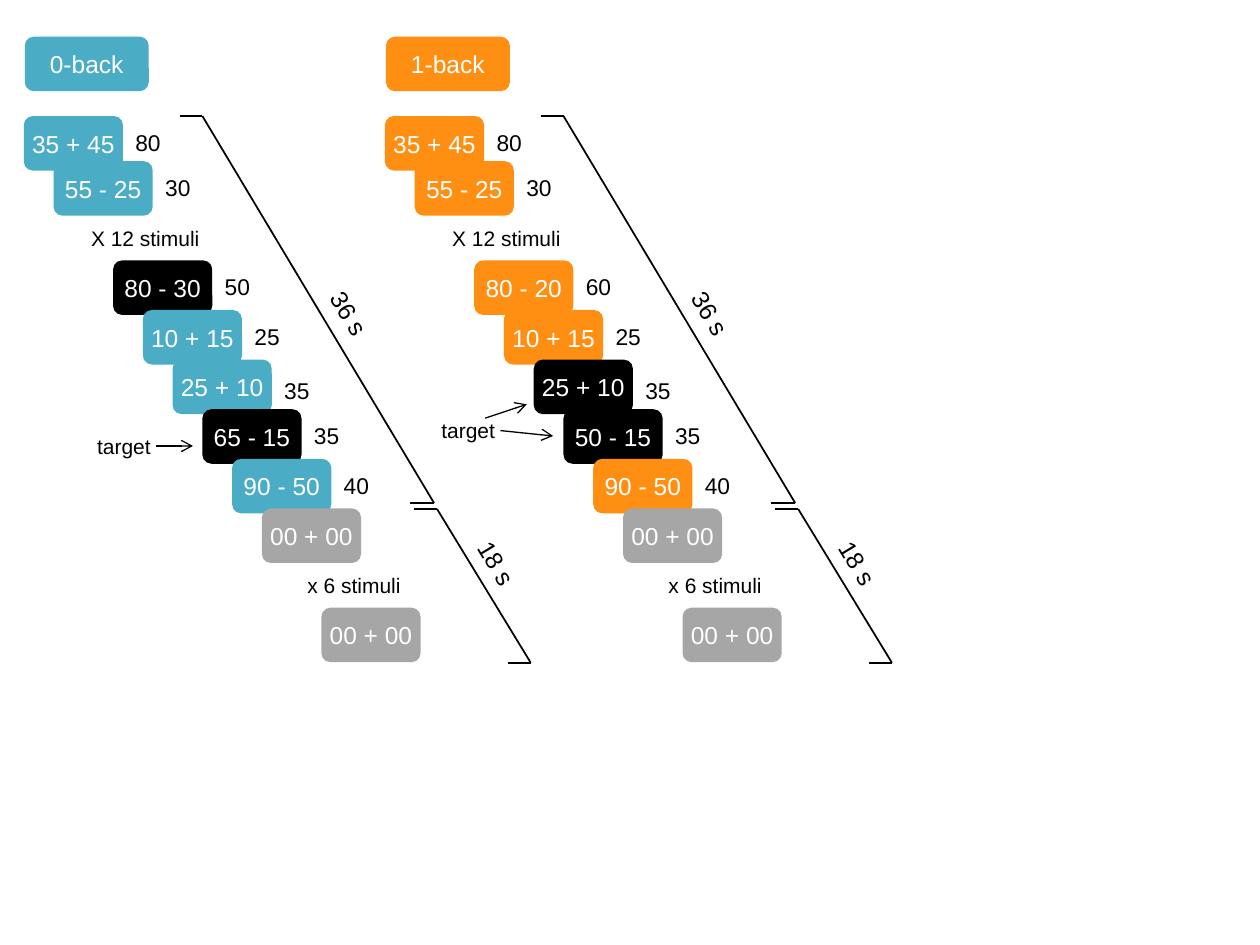
"""Draw the 0-back and 1-back task timelines side by side."""
from dataclasses import dataclass
from lxml.etree import SubElement
from pptx import Presentation
from pptx.dml.color import RGBColor
from pptx.enum.shapes import MSO_CONNECTOR, MSO_SHAPE
from pptx.enum.text import MSO_ANCHOR, MSO_AUTO_SIZE, PP_ALIGN
from pptx.oxml.ns import qn
from pptx.util import Cm, Pt


@dataclass(frozen=True)
class Theme:
    font: str = "Arial"
    blue: str = "4BACC6"
    orange: str = "FF8F13"
    gray: str = "A6A6A6"
    black: str = "000000"
    white: str = "FFFFFF"
    large: int = 14
    mid: int = 13
    small: int = 12
    thick: float = 1
    thin: float = 0.75


class Board:
    def __init__(self, slide, theme):
        self.slide = slide
        self.theme = theme

    def letter(self, shape, text, size, color, center=True):
        frame = shape.text_frame
        if center:
            frame.vertical_anchor = MSO_ANCHOR.MIDDLE
            frame.margin_left = frame.margin_right = Cm(0.1)
            frame.margin_top = frame.margin_bottom = Cm(0.1)
        line = frame.paragraphs[0]
        line.alignment = PP_ALIGN.CENTER if center else PP_ALIGN.LEFT
        run = line.add_run()
        run.text = text
        run.font.name = self.theme.font
        run.font.size = Pt(size)
        run.font.color.rgb = RGBColor.from_string(color)

    def card(self, text, x, y, width=2, fill=None):
        shape = self.slide.shapes.add_shape(
            MSO_SHAPE.ROUNDED_RECTANGLE, Cm(x), Cm(y), Cm(width), Cm(1.1))
        shape.shadow.inherit = False
        shape.line.fill.background()
        if fill:
            shape.fill.solid()
            shape.fill.fore_color.rgb = RGBColor.from_string(fill)
            self.letter(shape, text, self.theme.large, self.theme.white)
        else:
            shape.fill.background()
            self.letter(shape, text, self.theme.small, self.theme.black)

    def label(self, text, x, y, width, height, size, center=False, turn=0):
        box = self.slide.shapes.add_textbox(Cm(x), Cm(y), Cm(width), Cm(height))
        box.rotation = turn
        box.text_frame.word_wrap = False
        box.text_frame.auto_size = MSO_AUTO_SIZE.SHAPE_TO_FIT_TEXT
        self.letter(box, text, size, self.theme.black, center)
        return box

    def line(self, start, end, arrow=False, source=None):
        link = self.slide.shapes.add_connector(
            MSO_CONNECTOR.STRAIGHT, *(Cm(v) for v in (*start, *end)))
        if source is not None:
            link.begin_connect(source, 3)
        link.line.color.rgb = RGBColor.from_string(self.theme.black)
        link.line.width = Pt(self.theme.thin if arrow else self.theme.thick)
        if arrow:
            stroke = link._element.spPr.find(qn("a:ln"))
            SubElement(stroke, qn("a:tailEnd"), type="arrow")
        SubElement(link._element.spPr, qn("a:effectLst"))

    def bracket(self, points, shift):
        moved = [(x + shift, y) for x, y in points]
        for start, end in zip(moved, moved[1:]):
            self.line(start, end)

    def column(self, title, rows, shift, color):
        theme = self.theme
        self.card(title, 0.5 + shift, 0.74, 2.5, color)
        for i, (text, answer, fill) in enumerate(rows):
            x, y = 0.48 + 0.6 * i + shift, max(2.34, 2.25 + i)
            width = 2 if fill else 2.5 if i < 5 else 2.4
            self.card(text, x, y, width, fill)
            if answer:
                drop = 0.22 if i == 5 else 0.13
                self.label(answer, x + 2, y + drop, 1.1, 0.82, theme.mid)
        for points, text, x, y in SPANS:
            self.bracket(points, shift)
            self.label(text, x + shift, y, 1.5, 0.86, theme.large, turn=59)

    def target(self, x, y):
        return self.label("target", x, y, 1.3, 0.5, self.theme.small, True)


SPANS = [
    ([(3.63, 2.34), (4.08, 2.34), (8.75, 10.14), (8.27, 10.14)], "36 s", 6.3, 5.92),
    ([(8.34, 10.26), (8.81, 10.26), (10.7, 13.36), (10.24, 13.36)], "18 s", 9.27, 10.95),
]


def stack(color, third, fifth, sixth):
    """Return the rows of one timeline around its three varying cards."""
    gray = Theme.gray
    return [
        ("35 + 45", "80", color), ("55 - 25", "30", color),
        ("X 12 stimuli", None, None), third,
        ("10 + 15", "25", color), ("25 + 10", "35", fifth), sixth,
        ("90 - 50", "40", color), ("00 + 00", None, gray),
        (" x 6 stimuli", None, None), ("00 + 00", None, gray),
    ]


def main():
    deck = Presentation()
    deck.slide_width, deck.slide_height = Cm(25.4), Cm(19.05)
    theme = Theme()
    board = Board(deck.slides.add_slide(deck.slide_layouts[6]), theme)
    blue, orange, black = theme.blue, theme.orange, theme.black

    zero = stack(blue, ("80 - 30", "50", black), blue, ("65 - 15", "35", black))
    one = stack(orange, ("80 - 20", "60", orange), black, ("50 - 15", "35", black))
    board.column("0-back", zero, 0, blue)
    board.column("1-back", one, 7.28, orange)

    left = board.target(1.85, 8.74)
    board.line((3.15, 8.99), (3.89, 8.99), True, left)
    right = board.target(8.79, 8.43)
    board.line((9.78, 8.43), (10.62, 8.15), True)
    board.line((10.09, 8.68), (11.15, 8.79), True, right)
    deck.save("out.pptx")


if __name__ == "__main__":
    main()
